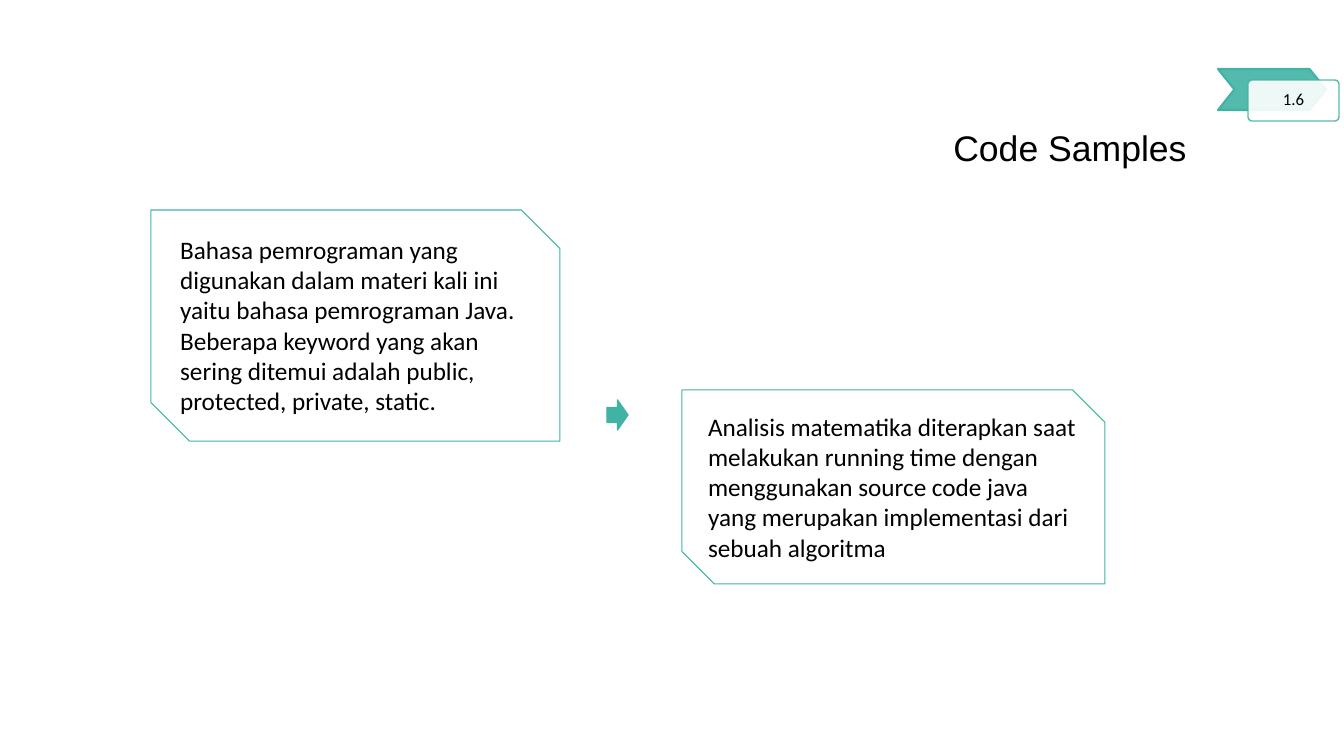
from lxml import etree
from pptx import Presentation
from pptx.dml.color import RGBColor
from pptx.enum.shapes import MSO_SHAPE
from pptx.enum.text import MSO_ANCHOR, PP_ALIGN
from pptx.oxml.ns import qn
from pptx.util import Emu, Pt

EMU_PER_PX = 914400 / 100.8
SLIDE_W, SLIDE_H = 1344, 756

TEAL = RGBColor(0x41, 0xB3, 0xA5)
WHITE = RGBColor(0xFF, 0xFF, 0xFF)
BLACK = RGBColor(0, 0, 0)

SNIPPED = MSO_SHAPE.SNIP_2_DIAG_RECTANGLE
CHEVRON = MSO_SHAPE.CHEVRON
ROUNDED = MSO_SHAPE.ROUNDED_RECTANGLE
RIGHT_ARROW = MSO_SHAPE.RIGHT_ARROW
LEFT, CENTER, RIGHT = PP_ALIGN.LEFT, PP_ALIGN.CENTER, PP_ALIGN.RIGHT
TOP, MIDDLE = MSO_ANCHOR.TOP, MSO_ANCHOR.MIDDLE

LANGUAGE_NOTES = [
    "Bahasa pemrograman yang digunakan dalam materi kali ini yaitu bahasa pemrograman Java.",
    "Beberapa keyword yang akan sering ditemui adalah public, protected, private, static.",
]
ANALYSIS_NOTES = [
    "Analisis matematika diterapkan saat melakukan running time dengan menggunakan "
    "source code java yang merupakan implementasi dari sebuah algoritma",
]


def px(length):
    return Emu(round(length * EMU_PER_PX))


def set_alpha(color_format, percent):
    """Make a solid fill or line colour partly transparent."""
    color = color_format._xFill.find(qn("a:srgbClr"))
    etree.SubElement(color, qn("a:alpha")).set("val", str(percent * 1000))


def write(shape, lines, size=18, font="Calibri", align=LEFT, anchor=TOP, spacing=1.0):
    frame = shape.text_frame
    frame.word_wrap = True
    frame.vertical_anchor = anchor
    for index, line in enumerate(lines):
        paragraph = frame.add_paragraph() if index else frame.paragraphs[0]
        paragraph.alignment = align
        paragraph.line_spacing = spacing
        run = paragraph.add_run()
        run.text = line
        run.font.size = Pt(size)
        run.font.name = font
        run.font.color.rgb = BLACK


def add_outlined(shapes, preset, box, fill=None, alpha=None, line_width=1.0):
    shape = shapes.add_shape(preset, *map(px, box))
    shape.shadow.inherit = False
    if fill is None:
        shape.fill.background()
    else:
        shape.fill.solid()
        shape.fill.fore_color.rgb = fill
        if alpha is not None:
            set_alpha(shape.fill.fore_color, alpha)
    shape.line.color.rgb = TEAL
    shape.line.width = Pt(line_width)
    return shape


def place_title(slide, box):
    title = slide.shapes.title
    title.left, title.top, title.width, title.height = map(px, box)
    write(title, ["Code Samples"], size=25.4, font="Arial", align=RIGHT, anchor=MIDDLE)


def add_section_badge(slide, box, number):
    left, top, width, height = box
    badge = slide.shapes.add_group_shape().shapes
    chevron = add_outlined(badge, CHEVRON, (left, top, width - 13, height - 11),
                           fill=TEAL, alpha=90, line_width=1.5)
    chevron.adjustments[0] = 0.4
    label = add_outlined(badge, ROUNDED, (left + 30, top + 11, width - 30, height - 11),
                         fill=WHITE, alpha=90)
    label.adjustments[0] = 0.1
    set_alpha(label.line.color, 90)
    write(label, [number], size=12, align=CENTER, anchor=MIDDLE, spacing=0.9)


def add_note(slide, box, lines):
    write(add_outlined(slide.shapes, SNIPPED, box, line_width=0.75), lines)


def main():
    deck = Presentation()
    deck.slide_width, deck.slide_height = px(SLIDE_W), px(SLIDE_H)
    slide = deck.slides.add_slide(deck.slide_layouts[5])

    place_title(slide, (583, 121, 614, 52))
    add_note(slide, (151, 210, 409, 231), LANGUAGE_NOTES)
    add_section_badge(slide, (1218, 69, 121, 52), "1.6")
    add_note(slide, (682, 390, 423, 194), ANALYSIS_NOTES)
    add_outlined(slide.shapes, RIGHT_ARROW, (607, 400, 21, 30), fill=TEAL)

    deck.save("out.pptx")


if __name__ == "__main__":
    main()
